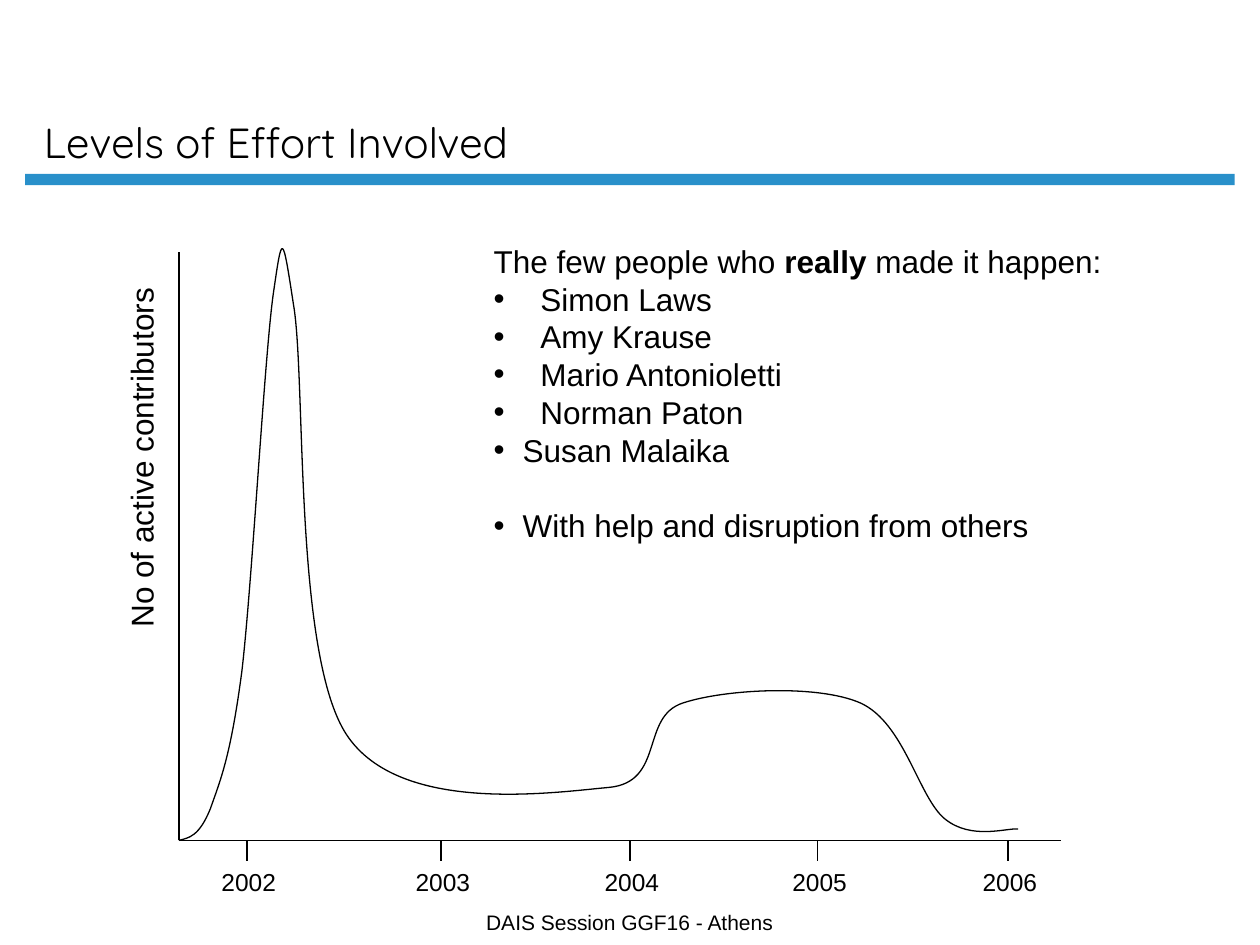
"""Build a slide charting contributor effort over time beside the list of key people."""
import pptx
import pptx.dml.color
import pptx.enum.shapes
import pptx.enum.text
import pptx.oxml.ns
import pptx.util
from lxml import etree
from pptx.util import Inches, Pt

BLACK, BLUE = "000000", "2990CA"
TITLE = "Levels of Effort Involved"
FOOTER = "DAIS Session GGF16 - Athens"
AXIS_TITLE = "No of active contributors"
YEAR_TICKS = {"2002": 1.96, "2003": 3.5, "2004": 5, "2005": 6.49, "2006": 8}
INTRO = [("The few people who ", False), ("really", True), (" made it happen:", False)]
CREDITS = [
    ("Simon Laws", 0.37, 0),
    ("Amy Krause", 0.37, 0),
    ("Mario Antonioletti", 0.37, 0),
    ("Norman Paton", 0.37, 0),
    ("Susan Malaika", 0.23, 0),
    ("With help and disruption from others", 0.23, 21.6),
]
AXIS_LEFT, AXIS_TOP, AXIS_RIGHT, AXIS_BOTTOM, TICK_BOTTOM = 1.42, 2, 8.42, 6.67, 6.83
EFFORT_START = (AXIS_LEFT, AXIS_BOTTOM)
EFFORT_BEZIERS = [
    [(1.5, 6.65), (1.58, 6.64), (1.67, 6.42)],
    [(1.75, 6.19), (1.83, 6.01), (1.92, 5.33)],
    [(2, 4.65), (2.1, 2.82), (2.17, 2.33)],
    [(2.24, 1.85), (2.24, 1.83), (2.33, 2.42)],
    [(2.43, 3), (2.33, 5.19), (2.75, 5.83)],
    [(3.17, 6.47), (4.39, 6.29), (4.83, 6.25)],
    [(5.28, 6.21), (5.08, 5.69), (5.42, 5.58)],
    [(5.75, 5.47), (6.49, 5.43), (6.83, 5.58)],
    [(7.18, 5.74), (7.29, 6.33), (7.5, 6.5)],
    [(7.71, 6.67), (7.99, 6.57), (8.08, 6.58)],
]


def color(value):
    return pptx.dml.color.RGBColor.from_string(value)


def style(paragraph, size, font="Arial"):
    paragraph.font.size = Pt(size)
    paragraph.font.name = font
    paragraph.font.color.rgb = color(BLACK)


def add_label(slide, text, box, size, font="Arial"):
    label = slide.shapes.add_textbox(*map(Inches, box))
    frame = label.text_frame
    frame.word_wrap = False
    frame.auto_size = pptx.enum.text.MSO_AUTO_SIZE.SHAPE_TO_FIT_TEXT
    paragraph = frame.paragraphs[0]
    paragraph.text = text
    style(paragraph, size, font)
    return label


def add_line(slide, start, end):
    line = slide.shapes.add_connector(
        pptx.enum.shapes.MSO_CONNECTOR.STRAIGHT, *map(Inches, start + end))
    line.line.color.rgb = color(BLACK)
    line.line.width = Pt(0.75)
    etree.SubElement(line._element.spPr, pptx.oxml.ns.qn("a:effectLst"))


def add_curve(slide, start, beziers):
    points = [tuple(map(Inches, point)) for bezier in beziers for point in bezier]
    builder = slide.shapes.build_freeform(*map(Inches, start))
    builder.add_line_segments(points, close=False)
    curve = builder.convert_to_shape()
    curve.shadow.inherit = False
    curve.fill.background()
    curve.line.color.rgb = color(BLACK)
    curve.line.width = Pt(0.75)
    segments = list(curve._element.iter(pptx.oxml.ns.qn("a:lnTo")))
    for first in range(0, len(segments), 3):
        bezier = etree.SubElement(segments[first].getparent(), pptx.oxml.ns.qn("a:cubicBezTo"))
        for segment in segments[first:first + 3]:
            bezier.append(segment[0])
            segment.getparent().remove(segment)


def add_bullet(paragraph, indent):
    properties = paragraph._p.get_or_add_pPr()
    properties.set("marL", str(Inches(indent)))
    properties.set("indent", str(-Inches(indent)))
    etree.SubElement(properties, pptx.oxml.ns.qn("a:buFont"), typeface="Arial")
    etree.SubElement(properties, pptx.oxml.ns.qn("a:buChar"), char="•")


def add_credits(slide):
    frame = add_label(slide, "", (3.82, 1.87, 5.02, 2.5), 18).text_frame
    intro = frame.paragraphs[0]
    for text, bold in INTRO:
        run = intro.add_run()
        run.text = text
        run.font.bold = bold
    for text, indent, gap in CREDITS:
        paragraph = frame.add_paragraph()
        paragraph.text = text
        add_bullet(paragraph, indent)
        paragraph.space_before = Pt(gap)
        style(paragraph, 18)
    for paragraph in frame.paragraphs:
        paragraph.line_spacing = Pt(21.6)


def main():
    deck = pptx.Presentation()
    deck.slide_width, deck.slide_height = Inches(10), Inches(7.5)
    slide = deck.slides.add_slide(deck.slide_layouts[6])

    rule = slide.shapes.add_shape(
        pptx.enum.shapes.MSO_SHAPE.RECTANGLE, *map(Inches, (0.2, 1.38, 9.6, 0.09)))
    rule.shadow.inherit = False
    rule.fill.solid()
    rule.fill.fore_color.rgb = color(BLUE)
    rule.line.fill.background()

    add_label(slide, FOOTER, (3.76, 7.17, 2.49, 0.3), 12)
    title = add_label(slide, TITLE, (0.25, 0.12, 8.56, 1.25), 24, "Quicksand").text_frame
    title.word_wrap = True
    title.auto_size = pptx.enum.text.MSO_AUTO_SIZE.NONE
    title.vertical_anchor = pptx.enum.text.MSO_ANCHOR.BOTTOM

    add_line(slide, (AXIS_LEFT, AXIS_TOP), (AXIS_LEFT, AXIS_BOTTOM))
    add_line(slide, (AXIS_LEFT, AXIS_BOTTOM), (AXIS_RIGHT, AXIS_BOTTOM))
    for year, tick in YEAR_TICKS.items():
        add_line(slide, (tick, AXIS_BOTTOM), (tick, TICK_BOTTOM))
        add_label(slide, year, (tick - 0.3, TICK_BOTTOM, 0.66, 0.34), 14)
    add_curve(slide, EFFORT_START, EFFORT_BEZIERS)
    add_label(slide, AXIS_TITLE, (-0.36, 3.4, 2.96, 0.4), 18).rotation = 270
    add_credits(slide)
    deck.save("out.pptx")


if __name__ == "__main__":
    main()
